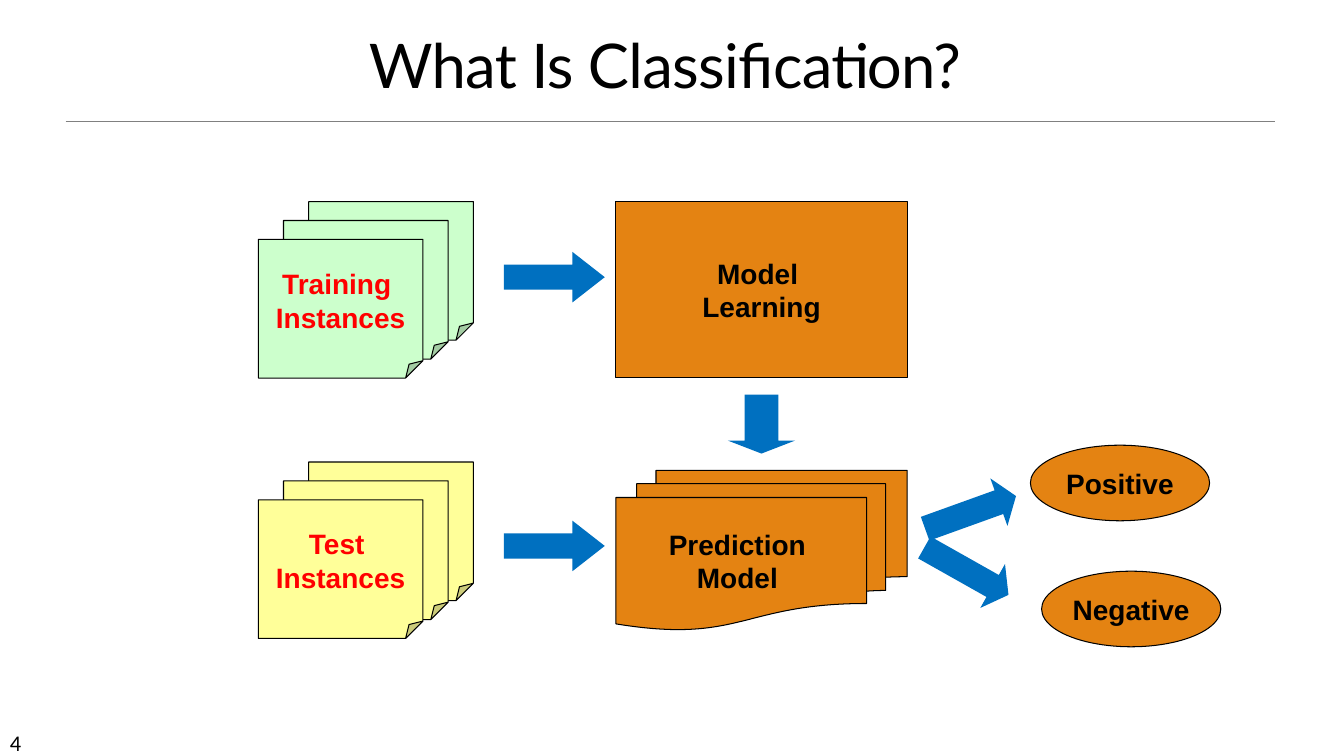
from dataclasses import dataclass

from lxml import etree
from pptx import Presentation
from pptx import util as u
from pptx.dml.color import RGBColor
from pptx.enum import shapes, text
from pptx.oxml import ns

SHAPE = shapes.MSO_SHAPE
ANCHOR = text.MSO_ANCHOR
ALIGN = text.PP_ALIGN


@dataclass(frozen=True)
class Theme:
    ink: str = "000000"
    rule: str = "808080"
    model: str = "E48312"
    arrow: str = "0070C0"
    training: str = "CCFFCC"
    test: str = "FFFF99"
    instances: str = "FF0000"
    title_size: float = 44
    label_size: float = 20
    number_size: float = 16
    outline: float = 0.75
    rule_width: float = 0.5


@dataclass(frozen=True)
class Area:
    """A place on the slide in grid columns and rows."""
    col: float
    row: float
    cols: float
    rows: float

    def emu(self) -> list[int]:
        return [grid(n) for n in (self.col, self.row, self.cols, self.rows)]


@dataclass(frozen=True)
class Node:
    kind: SHAPE
    area: Area
    fill: str
    lines: tuple[str, ...] = ()
    ink: str = "000000"


@dataclass(frozen=True)
class Arrow:
    area: Area
    head: float
    rotation: float = 0


@dataclass(frozen=True)
class Stack:
    """Three overlapping notes, the label on the front one."""
    row: float
    fill: str
    lines: tuple[str, ...]


THEME = Theme()
COLUMNS, ROWS = 160, 90
CELL = u.Inches(7.5) / ROWS


def grid(cells: float) -> int:
    return round(cells * CELL)


def apply_format(target, values: dict) -> None:
    for name, value in values.items():
        setattr(target, name, value)


def write(frame, lines: tuple[str, ...], font: dict, ink: str, paragraph: dict) -> None:
    for i, line in enumerate(lines):
        p = frame.paragraphs[0] if i == 0 else frame.add_paragraph()
        apply_format(p, paragraph)
        run = p.add_run()
        run.text = line
        apply_format(run.font, font)
        run.font.color.rgb = RGBColor.from_string(ink)


def draw_node(slide, node: Node):
    shape = slide.shapes.add_shape(node.kind, *node.area.emu())
    shape.shadow.inherit = False
    shape.fill.solid()
    shape.fill.fore_color.rgb = RGBColor.from_string(node.fill)
    shape.line.color.rgb = RGBColor.from_string(THEME.ink)
    shape.line.width = u.Pt(THEME.outline)
    apply_format(shape.text_frame, {"word_wrap": False, "vertical_anchor": ANCHOR.MIDDLE})
    write(shape.text_frame, node.lines,
          {"name": "Arial", "size": u.Pt(THEME.label_size), "bold": True},
          node.ink, {"alignment": ALIGN.CENTER})
    return shape


def draw_arrow(slide, arrow: Arrow) -> None:
    shape = draw_node(slide, Node(SHAPE.RIGHT_ARROW, arrow.area, THEME.arrow))
    shape.adjustments[1] = arrow.head
    shape.line.fill.background()
    shape.rotation = arrow.rotation


def draw_stack(slide, stack: Stack) -> None:
    for i in range(3):
        area = Area(36.75 - 3 * i, stack.row + 2.25 * i, 19.6, 16.5)
        note = draw_node(slide, Node(SHAPE.FOLDED_CORNER, area, stack.fill,
                                     stack.lines if i == 2 else (), THEME.instances))
        # Fold one eighth of the corner
        guides = note._element.spPr.find(".//" + ns.qn("a:avLst"))
        etree.SubElement(guides, ns.qn("a:gd"), name="adj", fmla="val 12500")


def draw_title(slide) -> None:
    title = slide.shapes.title
    apply_format(title, dict(zip(("left", "top", "width", "height"),
                                 Area(4.56, 2.88, 149.2, 9.72).emu())))
    apply_format(title.text_frame, {"word_wrap": True, "vertical_anchor": ANCHOR.BOTTOM,
                                    "auto_size": text.MSO_AUTO_SIZE.NONE})
    write(title.text_frame, ("What Is Classification?",),
          {"name": "Lato", "size": u.Pt(THEME.title_size)}, THEME.ink,
          {"alignment": ALIGN.CENTER, "line_spacing": 0.85})
    # Tighten the letters by half a point
    title.text_frame.paragraphs[0].runs[0].font._element.set("spc", "-50")


def draw_rule(slide) -> None:
    rule = slide.shapes.add_connector(shapes.MSO_CONNECTOR.STRAIGHT,
                                      *(grid(n) for n in (7.8, 14.4, 151.8, 14.4)))
    rule.line.color.rgb = RGBColor.from_string(THEME.rule)
    rule.line.width = u.Pt(THEME.rule_width)
    etree.SubElement(rule._element.spPr, ns.qn("a:effectLst"))


def draw_number(slide) -> None:
    number = slide.shapes.add_textbox(*Area(0, 86.16, 14, 3.6).emu())
    number.text_frame.word_wrap = True
    write(number.text_frame, ("4",), {"name": "Calibri", "size": u.Pt(THEME.number_size)},
          THEME.ink, {"alignment": ALIGN.LEFT})


# Learning step and the two outcomes
NODES = (
    Node(SHAPE.RECTANGLE, Area(73.33, 24, 34.67, 21), THEME.model, ("Model ", "Learning")),
    Node(SHAPE.OVAL, Area(122.67, 53, 21.33, 9), THEME.model, ("Positive",)),
    Node(SHAPE.OVAL, Area(124, 68, 21.33, 9), THEME.model, ("Negative",)),
)
ARROWS = (
    Arrow(Area(60, 30, 12, 6), 0.64),
    Arrow(Area(87.15, 46.5, 7, 8), 0.22, 90),
    Arrow(Area(60, 62, 12, 6), 0.64),
    Arrow(Area(109.8, 58, 11.5, 6), 0.36, 340.2),
    Arrow(Area(109.3, 65, 11.5, 6), 0.36, 29.4),
)
STACKS = (
    Stack(24, THEME.training, ("Training ", "Instances")),
    Stack(55, THEME.test, ("Test ", "Instances")),
)
PREDICTION = Node(SHAPE.FLOWCHART_MULTIDOCUMENT, Area(73.33, 56, 34.67, 19),
                  THEME.model, ("Prediction ", "Model "))


def main() -> None:
    deck = Presentation()
    apply_format(deck, {"slide_width": grid(COLUMNS), "slide_height": grid(ROWS)})
    slide = deck.slides.add_slide(deck.slide_layouts.get_by_name("Title Only"))

    # Slide frame
    draw_rule(slide)
    draw_number(slide)
    draw_title(slide)

    # Classification flow, back to front
    for node in NODES:
        draw_node(slide, node)
    for arrow in ARROWS:
        draw_arrow(slide, arrow)
    for stack in STACKS:
        draw_stack(slide, stack)
    draw_node(slide, PREDICTION)

    deck.save("out.pptx")


if __name__ == "__main__":
    main()
